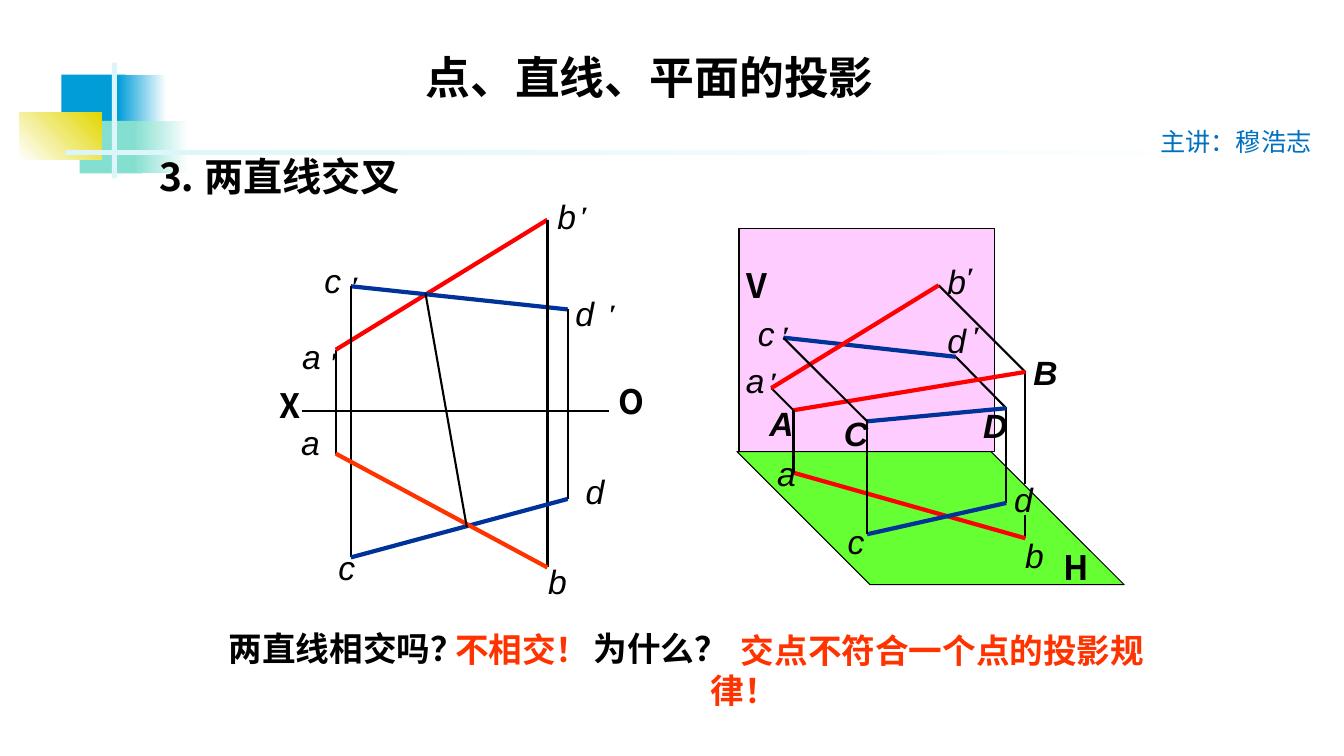
from lxml.etree import SubElement
from pptx import Presentation
from pptx.dml.color import RGBColor as Rgb
from pptx.enum.shapes import MSO_CONNECTOR as Conn, MSO_SHAPE as Geo
from pptx.enum.text import MSO_ANCHOR as Anchor, PP_ALIGN as Align
from pptx.oxml.ns import qn
from pptx.util import Inches, Pt

CJK, SANS, SERIF = "Noto Sans CJK SC", "Arial", "Times New Roman"
COLORS = {
    "black": "000000", "white": "FFFFFF", "red": "FF0000", "orange": "FF3300",
    "navy": "003399", "pink": "FFCCFF", "green": "66FF33", "blue": "009DD9",
    "mint": "85DFD0", "gold": "E2D700", "pale": "DBF5F9", "link": "0070C0",
}

DECOR = [
    (0.61, 0.74, 0.64, 0.52, ["blue"], 0),
    (1.17, 0.74, 0.48, 0.52, ["blue", "white"], 0),
    (0.79, 1.2, 0.62, 0.52, ["mint"], 0),
    (1.33, 1.2, 0.54, 0.52, ["mint", "white"], 0),
    (0.19, 1.12, 0.82, 0.46, ["white", "gold"], 45),
    (1.11, 0.62, 0.05, 1.15, ["pale"], 0),
    (0.65, 1.49, 12, 0.05, ["pale", "white"], 0),
]

FLAT = {
    "a′": (3.33, 3.47), "b′": (5.43, 2.18), "c′": (3.48, 2.84), "d′": (5.63, 3.07),
    "a": (3.33, 4.5), "b": (5.43, 5.63), "c": (3.48, 5.53), "d": (5.63, 4.95),
    "X": (3, 4.08), "O": (6.04, 4.08), "k′": (4.22, 2.91), "k": (4.63, 5.23),
}
FLAT_EDGES = [
    ("a′", "a", "black"), ("a′", "b′", "red"), ("c′", "d′", "navy"),
    ("X", "O", "black"), ("c′", "c", "black"), ("b′", "b", "black"),
    ("d′", "d", "black"), ("c", "d", "navy"), ("a", "b", "orange"),
    ("k′", "k", "black"),
]
FLAT_MARKS = [
    ("c", 3.44, 5.43), ("a", 3.08, 4.19), ("c", 3.3, 2.58), ("a", 3.09, 3.33),
    ("b", 5.53, 5.56), ("d", 5.9, 4.67), ("d", 5.8, 2.91), ("b", 5.62, 1.94),
    ("O", 6.23, 3.78), ("X", 2.87, 3.82), ("′", 6.08, 2.91), ("′", 5.8, 1.94),
    ("′", 3.32, 3.38), ("′", 3.53, 2.63),
]

SPACE = {
    "a′": (7.65, 3.85), "b′": (9.31, 2.83), "c′": (7.77, 3.35), "d′": (9.48, 3.54),
    "A": (7.87, 4.07), "B": (10.17, 3.69), "C": (8.6, 4.18), "D": (9.98, 4.05),
    "a": (7.87, 4.69), "b": (10.17, 5.34), "c": (8.6, 5.3), "d": (9.98, 4.99),
    "m": (10.17, 4.8), "n": (10.17, 5.11),
}
SPACE_EDGES = [
    ("D", "d", "black"), ("d′", "D", "black"), ("B", "m", "black"),
    ("n", "b", "black"), ("b′", "B", "black"), ("a′", "A", "black"),
    ("a", "b", "red"), ("c′", "d′", "navy"), ("c", "d", "navy"),
    ("C", "D", "navy"), ("A", "B", "red"), ("a′", "b′", "red"),
    ("c′", "C", "black"), ("C", "c", "black"), ("A", "a", "black"),
]
SPACE_MARKS = [
    ("a", 7.8, 4.49), ("c", 8.49, 5.17), ("c", 7.6, 3.1), ("A", 7.73, 4),
    ("a", 7.49, 3.57), ("C", 8.47, 4.1), ("V", 7.5, 2.63), ("b", 10.26, 5.31),
    ("H", 10.65, 5.43), ("d", 10.15, 4.75), ("d", 9.49, 3.17), ("D", 9.85, 4.02),
    ("B", 10.35, 3.49), ("b", 9.49, 2.59), ("′", 7.8, 3.13), ("′", 9.69, 3.13),
    ("′", 9.63, 2.54), ("′", 7.68, 3.58),
]


def tint(name):
    return Rgb.from_string(COLORS[name])


def write(frame, text, size=24, font=CJK, east=None, color="black", bold=True,
          slant=False, align=Align.LEFT, anchor=Anchor.TOP, wrap=False, inset=None,
          indent=0):
    frame.word_wrap, frame.vertical_anchor = wrap, anchor
    if inset is not None:
        frame.margin_left = frame.margin_right = Inches(inset)
        frame.margin_top = frame.margin_bottom = Inches(inset)
    para = frame.paragraphs[0]
    para.alignment = align
    if indent:
        para._p.get_or_add_pPr().set("indent", str(Inches(indent)))
    run = para.add_run()
    run.text = text
    style = run.font
    style.size, style.name, style.bold, style.italic = Pt(size), font, bold, slant
    style.color.rgb = tint(color)
    SubElement(run._r.get_or_add_rPr(), qn("a:ea")).set("typeface", east or font)


def label(shapes, text, x, y, w, h, **style):
    box = shapes.add_textbox(Inches(x), Inches(y), Inches(w), Inches(h))
    write(box.text_frame, text, **style)


def block(shapes, kind, x, y, w, h, fills, angle=0, edge=None):
    shape = shapes.add_shape(kind, Inches(x), Inches(y), Inches(w), Inches(h))
    shape.shadow.inherit = False
    if len(fills) > 1:
        shape.fill.gradient()
        shape.fill.gradient_angle = angle
        for stop, name, place in zip(shape.fill.gradient_stops, fills, (0, 1)):
            stop.color.rgb, stop.position = tint(name), place
    else:
        shape.fill.solid()
        shape.fill.fore_color.rgb = tint(fills[0])
    if edge:
        shape.line.color.rgb, shape.line.width = tint(edge), Pt(0.75)
    else:
        shape.line.fill.background()
    return shape


def stroke(shapes, start, end, color):
    line = shapes.add_connector(Conn.STRAIGHT, *map(Inches, start + end))
    line.line.color.rgb = tint(color)
    line.line.width = Pt(1.5 if color == "black" else 3)
    SubElement(line._element.spPr, qn("a:effectLst"))


def mark(shapes, text, x, y):
    if text == "′":
        style = dict(size=20, font=SERIF)
    elif text in "XOVH":
        style = dict(font=CJK)
    else:
        style = dict(font=SANS, bold=text.isupper(), slant=True)
    label(shapes, text, x - 0.1, y, 0.2, 0.4, inset=0, align=Align.CENTER,
          anchor=Anchor.MIDDLE, **style)


def figure(shapes, points, edges, marks):
    for start, end, color in edges:
        stroke(shapes, points[start], points[end], color)
    for text, x, y in marks:
        mark(shapes, text, x, y)


def planes(shapes):
    floor = block(shapes, Geo.PARALLELOGRAM, 7.31, 4.48, 3.84, 1.32, ["green"],
                  edge="black")
    floor.adjustments[0] = 1
    floor._element.spPr.xfrm.set("flipH", "1")
    block(shapes, Geo.RECTANGLE, 7.33, 2.27, 2.53, 2.21, ["pink"], edge="black")


def main():
    """Build the slide on two skew lines and save it."""
    deck = Presentation()
    deck.slide_width, deck.slide_height = Inches(13.33), Inches(7.5)
    slide = deck.slides.add_slide(deck.slide_layouts[5])
    shapes = slide.shapes

    for x, y, w, h, fills, angle in DECOR:
        block(shapes, Geo.RECTANGLE, x, y, w, h, fills, angle)

    title = shapes.title
    title.left, title.top = Inches(3.4), Inches(0.44)
    title.width, title.height = Inches(6.09), Inches(0.63)
    write(title.text_frame, "点、直线、平面的投影", size=32, wrap=True,
          align=Align.CENTER, anchor=Anchor.MIDDLE)
    label(shapes, "主讲：穆浩志", 11.41, 1.2, 1.82, 0.4, size=18, color="link",
          bold=False, wrap=True)
    label(shapes, "⒊ 两直线交叉", 1.45, 1.46, 2.77, 0.57, size=28,
          anchor=Anchor.MIDDLE)

    ask = dict(font=SERIF, east=CJK, align=Align.CENTER)
    label(shapes, "为什么？", 5.56, 6.18, 1.99, 0.5, wrap=True, **ask)
    label(shapes, "两直线相交吗？", 2.15, 6.18, 2.57, 0.5, **ask)
    label(shapes, "不相交！", 4.4, 6.19, 1.56, 0.5, color="orange",
          anchor=Anchor.MIDDLE, **ask)
    label(shapes, "交点不符合一个点的投影规律！", 6.95, 6.19, 4.79, 0.91,
          color="orange", wrap=True, indent=0.3, anchor=Anchor.MIDDLE)

    figure(shapes.add_group_shape().shapes, FLAT, FLAT_EDGES, FLAT_MARKS)
    space = shapes.add_group_shape().shapes
    planes(space)
    figure(space, SPACE, SPACE_EDGES, SPACE_MARKS)
    deck.save("out.pptx")


if __name__ == "__main__":
    main()
